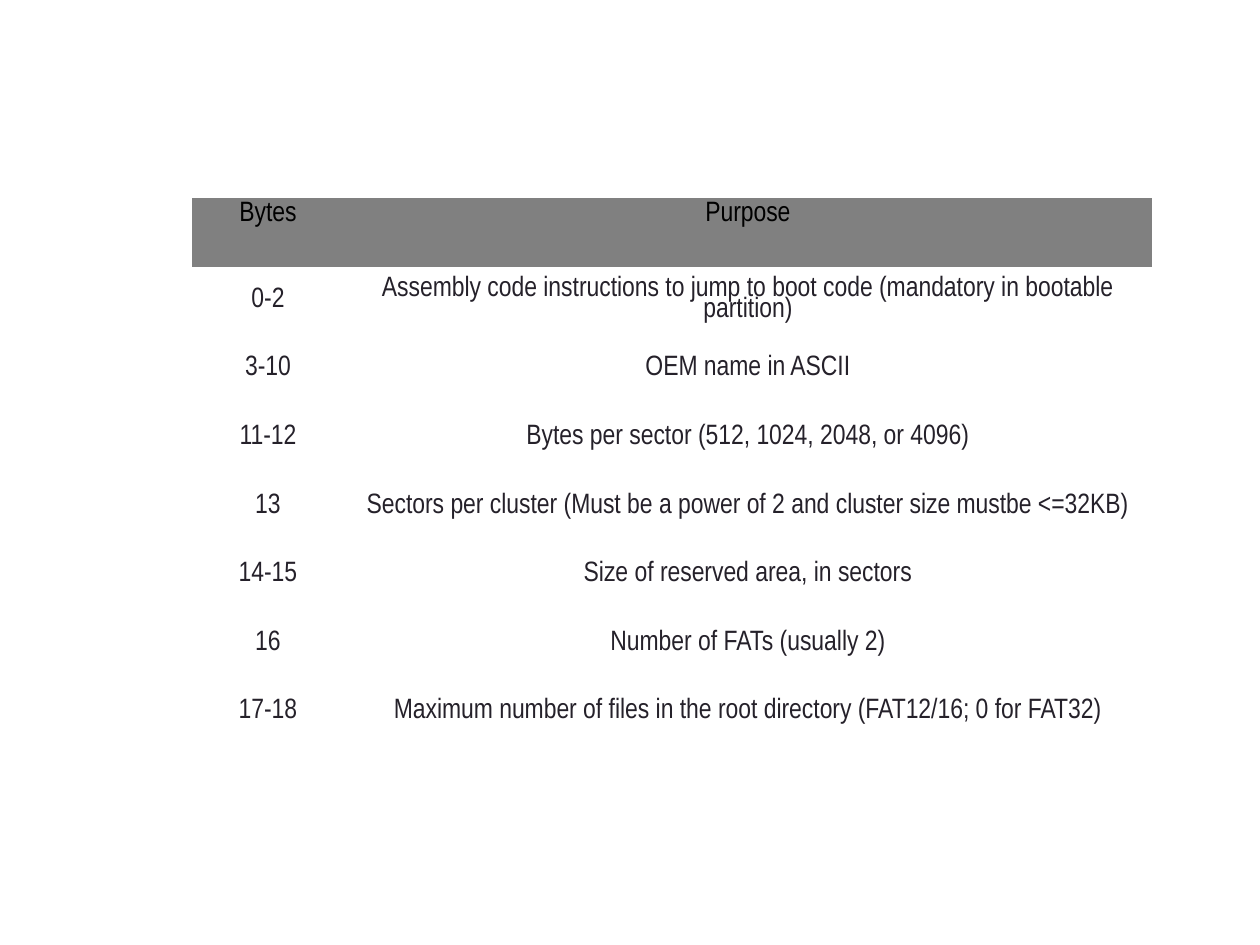
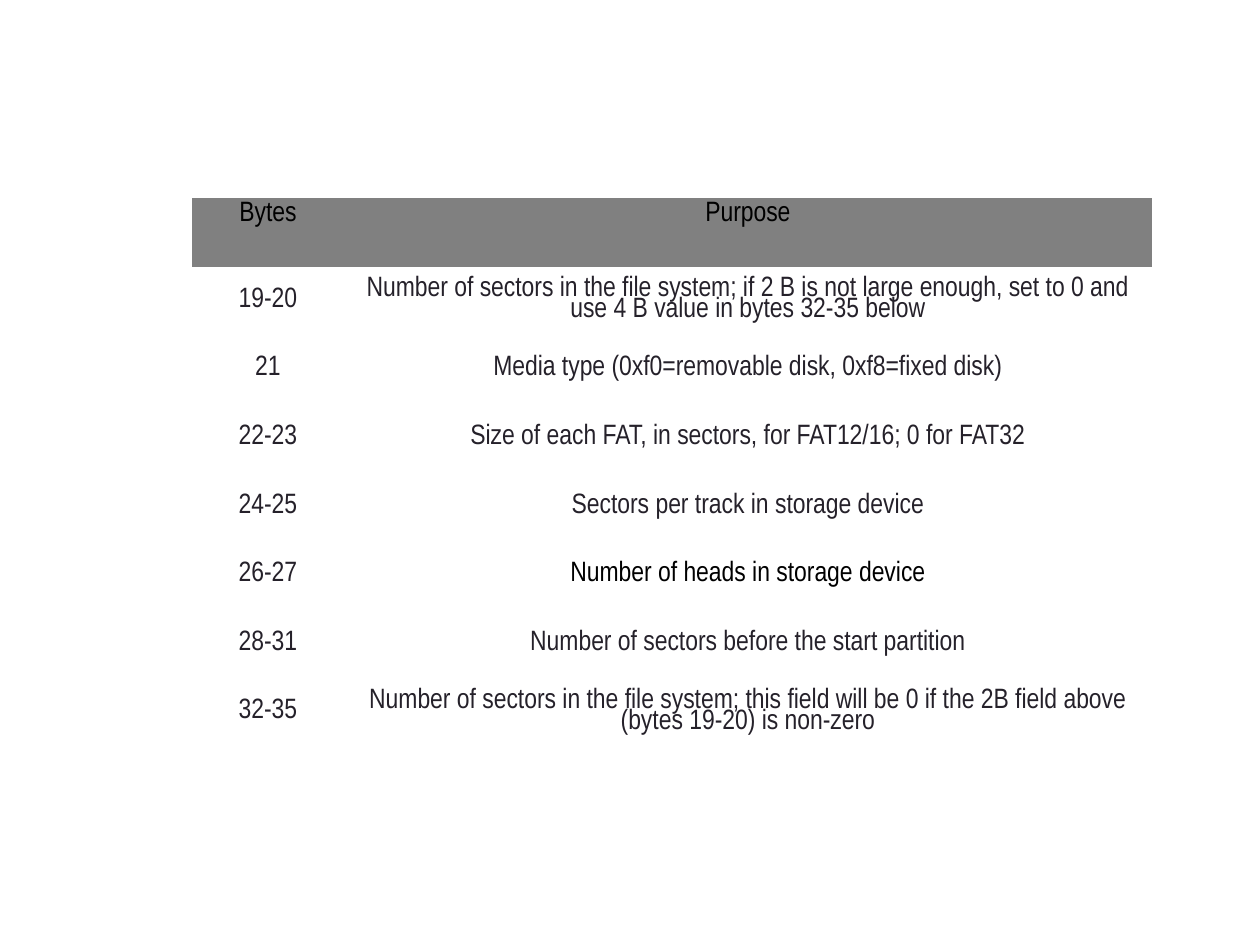
from pptx import Presentation
from pptx.dml.color import RGBColor
from pptx.enum.text import MSO_ANCHOR, PP_ALIGN
from pptx.oxml.ns import qn
from pptx.util import Pt

SCALE = 914400 / 126
FONT = "Arial Narrow"
COLORS = {"band": "808080", "head": "000000", "body": "25212A"}
PLAIN = "{2D5ABB26-0587-4C30-8999-92F81FD0307C}"

HEAD = ("Bytes", "Purpose")
FIRST = [
    ("0-2", "Assembly code instructions to jump to boot code (mandatory in bootable partition)"),
    ("3-10", "OEM name in ASCII"),
    ("11-12", "Bytes per sector (512, 1024, 2048, or 4096)"),
    ("13", "Sectors per cluster (Must be a power of 2 and cluster size mustbe <=32KB)"),
    ("14-15", "Size of reserved area, in sectors"),
    ("16", "Number of FATs (usually 2)"),
    ("17-18", "Maximum number of files in the root directory (FAT12/16; 0 for FAT32)"),
]
HEADS = "Number of heads in storage device"
SECOND = [
    ("19-20", "Number of sectors in the file system; if 2 B is not large enough, "
              "set to 0 and use 4 B value in bytes 32-35 below"),
    ("21", "Media type (0xf0=removable disk, 0xf8=fixed disk)"),
    ("22-23", "Size of each FAT, in sectors, for FAT12/16; 0 for FAT32"),
    ("24-25", "Sectors per track in storage device"),
    ("26-27", HEADS),
    ("28-31", "Number of sectors before the start partition"),
    ("32-35", "Number of sectors in the file system; this field will be 0 "
              "if the 2B field above (bytes 19-20) is non-zero"),
]


def px(count):
    return round(count * SCALE)


def write(cell, text, color):
    para = cell.text_frame.paragraphs[0]
    para.alignment = PP_ALIGN.CENTER
    para.line_spacing = 0.8
    run = para.add_run()
    run.text = text
    run.font.name = FONT
    run.font.size = Pt(16)
    run.font.bold = False
    run.font.color.rgb = RGBColor.from_string(COLORS[color])


def fill_head(cell, text):
    cell.fill.solid()
    cell.fill.fore_color.rgb = RGBColor.from_string(COLORS["band"])
    write(cell, text, "head")


def fill_body(cell, text):
    cell.fill.background()
    cell.vertical_anchor = MSO_ANCHOR.MIDDLE
    tight = text == HEADS
    cell.margin_left = cell.margin_right = px(5 if tight else 14)
    cell.margin_top = cell.margin_bottom = px(5 if tight else 6)
    write(cell, text, "head" if tight else "body")


def add_grid(slide, rows):
    """Add a table with a grey header and plain, borderless rows."""
    frame = slide.shapes.add_table(len(rows) + 1, len(HEAD),
                                   px(192), px(198), px(960), px(549))
    table = frame.table
    table.first_row = table.horz_banding = False
    table._tbl.tblPr.find(qn("a:tableStyleId")).text = PLAIN
    for column, width in zip(table.columns, (152, 808)):
        column.width = px(width)
    for col, text in enumerate(HEAD):
        fill_head(table.cell(0, col), text)
    for row, texts in enumerate(rows, 1):
        for col, text in enumerate(texts):
            fill_body(table.cell(row, col), text)


def main():
    deck = Presentation()
    deck.slide_width, deck.slide_height = px(1260), px(945)
    for rows in (FIRST, SECOND):
        add_grid(deck.slides.add_slide(deck.slide_layouts[6]), rows)
    deck.save("out.pptx")


if __name__ == "__main__":
    main()
